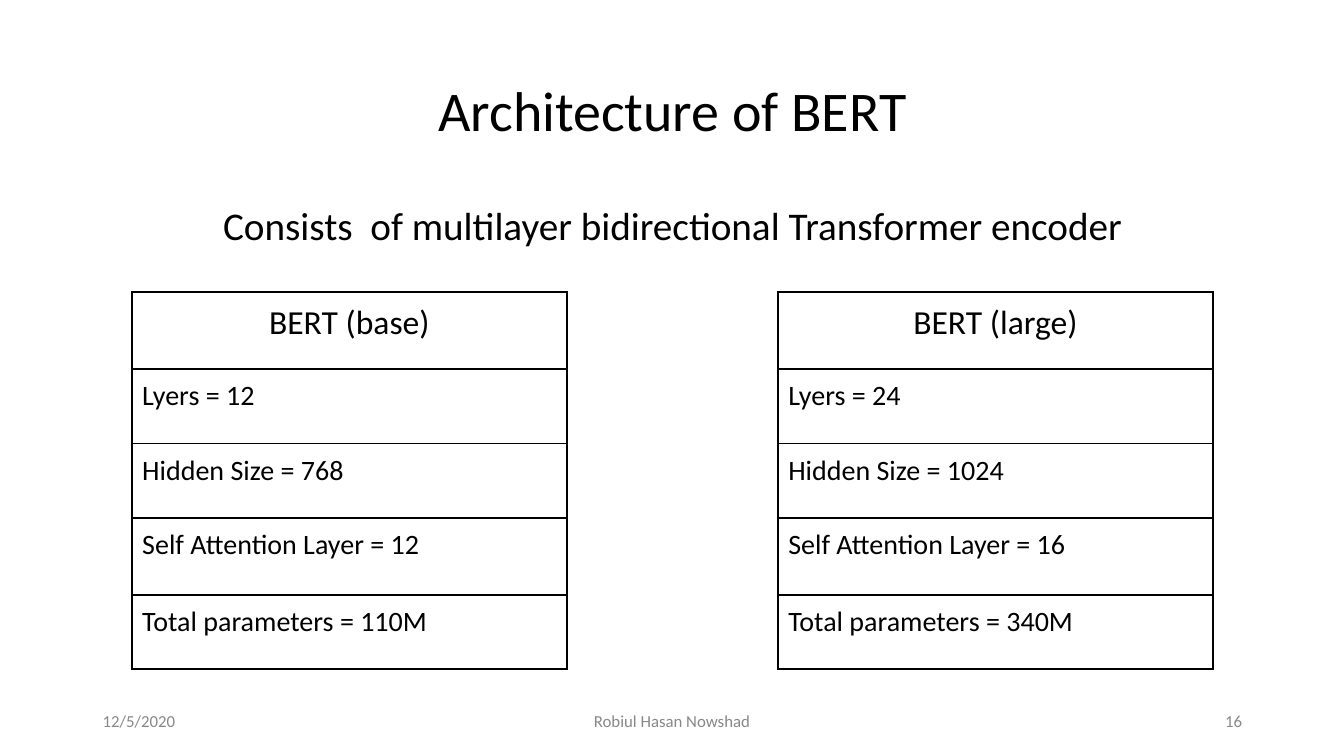
from dataclasses import dataclass

from lxml.etree import SubElement
from pptx import Presentation
from pptx.dml.color import RGBColor as RGB
from pptx.enum.text import MSO_ANCHOR as Anchor, PP_ALIGN as Align
from pptx.oxml.ns import qn
from pptx.slide import Slide
from pptx.table import _Cell as Cell
from pptx.text.text import _Paragraph as Paragraph
from pptx.util import Inches, Pt

COLORS = {"ink": "000000", "muted": "888888"}
FONT = "Calibri"
WIDTH, HEIGHT = Inches(13.33), Inches(7.5)

# Horizontal and vertical positions, in percent of the slide
MARGIN, CONTENT = 6.9, 86.26
FOOT_TOP, FOOT_H, FOOT_SIDE, FOOT_MID = 92.67, 5.33, 22.5, 33.76
TABLE_TOP, TABLE_W, BORDER = 38.67, 32.33, 1.5
ROW_HEIGHTS = (10.13, 9.87, 9.87, 10.13, 9.87)


@dataclass
class Label:
    text: str
    left: float
    top: float
    width: float
    height: float
    size: int
    align: Align = Align.CENTER
    anchor: Anchor = Anchor.MIDDLE
    color: str = "ink"
    line: float = 1.0
    before: int = 0


@dataclass
class Model:
    name: str
    left: float
    layers: int
    hidden: int
    attention: int
    parameters: str

    def rows(self) -> list[str]:
        return [
            f"BERT ({self.name})",
            f"Lyers = {self.layers}",
            f"Hidden Size = {self.hidden}",
            f"Self Attention Layer = {self.attention}",
            f"Total parameters = {self.parameters}",
        ]


def footer(text: str, left: float, width: float, align: Align) -> Label:
    return Label(text, left, FOOT_TOP, width, FOOT_H, 12, align, color="muted")


LABELS = [
    Label("Architecture of BERT", MARGIN, 5.33, CONTENT, 19.33, 40, line=0.9),
    Label("Consists  of multilayer bidirectional Transformer encoder",
          MARGIN, 26.67, CONTENT, 63.47, 28, anchor=Anchor.TOP, line=0.9, before=10),
    footer("12/5/2020", MARGIN, FOOT_SIDE, Align.LEFT),
    footer("Robiul Hasan Nowshad", 50 - FOOT_MID / 2, FOOT_MID, Align.CENTER),
    footer("16", MARGIN + CONTENT - FOOT_SIDE, FOOT_SIDE, Align.RIGHT),
]
MODELS = [
    Model("base", 9.83, 12, 768, 12, "110M"),
    Model("large", 57.9, 24, 1024, 16, "340M"),
]


def x(share: float) -> int:
    return round(WIDTH * share / 100)


def y(share: float) -> int:
    return round(HEIGHT * share / 100)


def write(p: Paragraph, text: str, size: int, align: Align, color: str = "ink") -> None:
    p.text = text
    p.alignment = align
    for r in p.runs:
        r.font.name, r.font.size = FONT, Pt(size)
        r.font.color.rgb = RGB.from_string(COLORS[color])


def add_label(s: Slide, label: Label) -> None:
    sp = s.shapes.add_textbox(x(label.left), y(label.top), x(label.width), y(label.height))
    tf = sp.text_frame
    tf.word_wrap = True
    tf.vertical_anchor = label.anchor
    p = tf.paragraphs[0]
    write(p, label.text, label.size, label.align, label.color)
    p.line_spacing, p.space_before = label.line, Pt(label.before)


def add_borders(cell: Cell) -> None:
    tc_pr = cell._tc.get_or_add_tcPr()
    for side in ("lnL", "lnR", "lnT", "lnB"):
        ln = SubElement(tc_pr, qn(f"a:{side}"), w=str(Pt(BORDER)))
        fill = SubElement(ln, qn("a:solidFill"))
        SubElement(fill, qn("a:srgbClr"), val=COLORS["ink"])


def add_model(s: Slide, model: Model) -> None:
    rows = model.rows()
    table = s.shapes.add_table(len(rows), 1, x(model.left), y(TABLE_TOP),
                               x(TABLE_W), y(sum(ROW_HEIGHTS))).table
    table.first_row = table.horz_banding = False
    for i, (text, height) in enumerate(zip(rows, ROW_HEIGHTS)):
        table.rows[i].height = y(height)
        cell = table.cell(i, 0)
        cell.margin_left = cell.margin_right = Inches(0.1)
        cell.margin_top = cell.margin_bottom = Inches(0.1)
        add_borders(cell)
        cell.fill.background()
        size, align = (20, Align.LEFT) if i else (24, Align.CENTER)
        write(cell.text_frame.paragraphs[0], text, size, align)


def main() -> None:
    prs = Presentation()
    prs.slide_width, prs.slide_height = WIDTH, HEIGHT
    s = prs.slides.add_slide(prs.slide_layouts[6])

    # Title, subtitle and footer
    for label in LABELS:
        add_label(s, label)

    # One table per model size
    for model in MODELS:
        add_model(s, model)

    prs.save("out.pptx")


if __name__ == "__main__":
    main()
